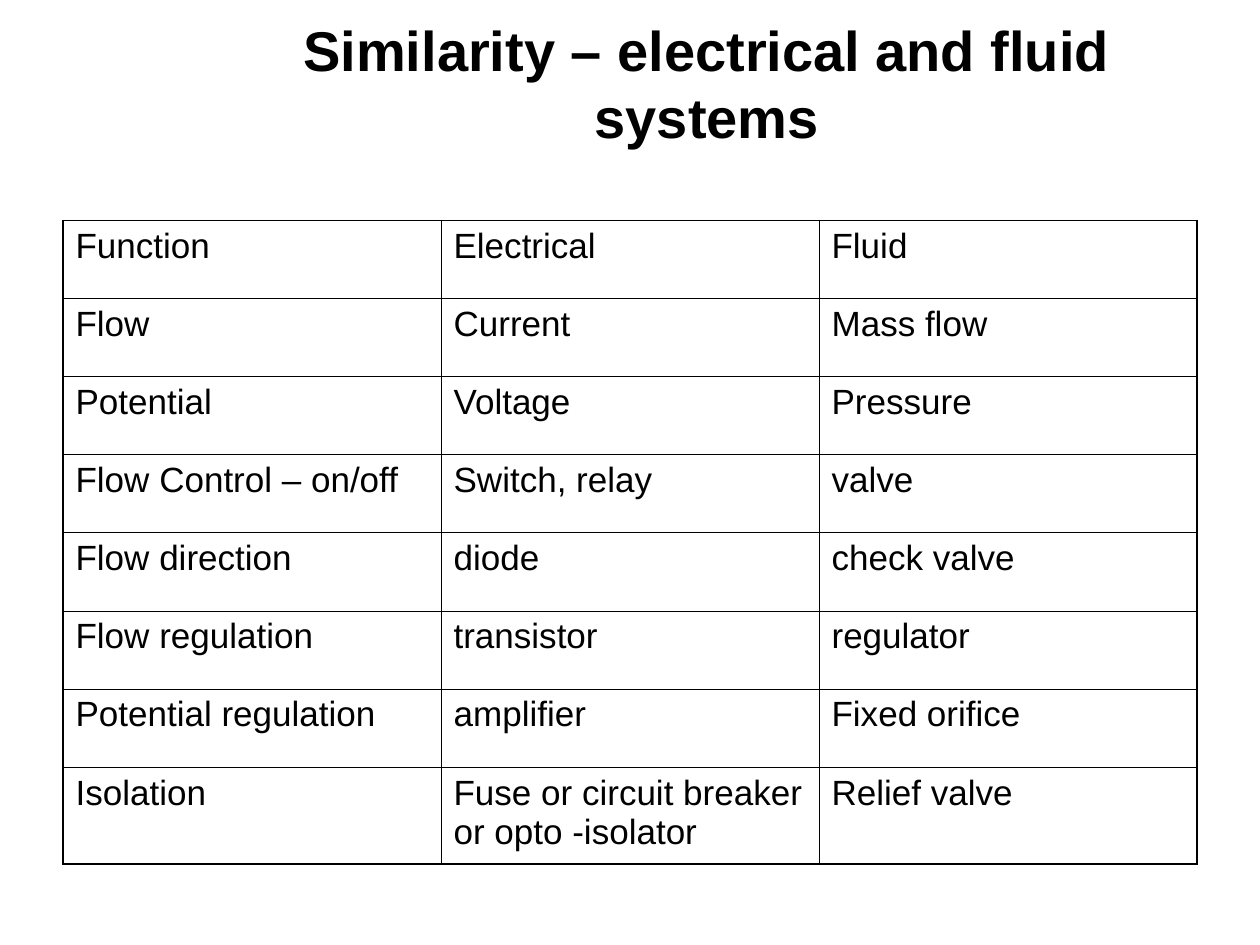
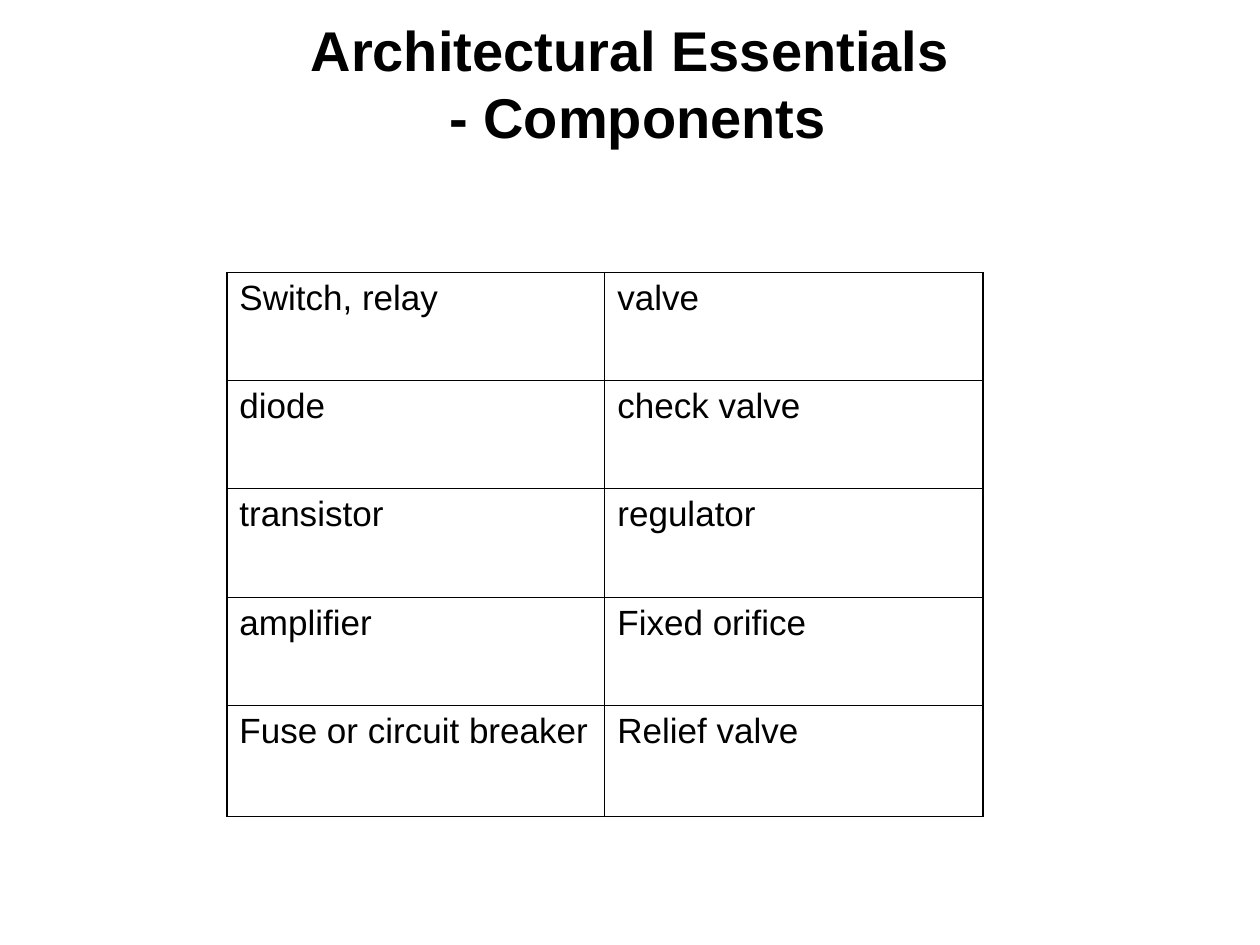
from dataclasses import dataclass

from lxml import etree
from pptx import Presentation
from pptx.dml.color import RGBColor
from pptx.enum.text import MSO_ANCHOR, MSO_AUTO_SIZE, PP_ALIGN
from pptx.oxml.ns import qn
from pptx.util import Inches, Pt

CENTER = PP_ALIGN.CENTER
MIDDLE = MSO_ANCHOR.MIDDLE
NO_AUTOFIT = MSO_AUTO_SIZE.NONE
TITLE_ONLY_LAYOUT = 5


@dataclass(frozen=True)
class Theme:
    font: str = "Arial"
    ink: str = "000000"
    title_size: float = 32
    cell_size: float = 20
    outer_line: float = 1.08
    inner_line: float = 0.45


THEME = Theme()

COLUMN_WIDTH = 3
TITLE_TOP, TITLE_HEIGHT = 0.3, 1.25

HEADINGS = ("Function", "Electrical", "Fluid")
QUANTITIES = (
    ("Flow", "Current", "Mass flow"),
    ("Potential", "Voltage", "Pressure"),
)
COMPONENTS = (
    ("Switch, relay", "valve"),
    ("diode", "check valve"),
    ("transistor", "regulator"),
    ("amplifier", "Fixed orifice"),
    ("Fuse or circuit breaker", "Relief valve"),
)
COMPONENT_FUNCTIONS = (
    "Flow Control – on/off",
    "Flow direction",
    "Flow regulation",
    "Potential regulation",
    "Isolation",
)


def set_font(paragraph, size, bold=False):
    font = paragraph.font
    font.name = THEME.font
    font.size = Pt(size)
    font.bold = bold
    font.color.rgb = RGBColor.from_string(THEME.ink)


def add_titled_slide(presentation, title, left, width):
    slide = presentation.slides.add_slide(presentation.slide_layouts[TITLE_ONLY_LAYOUT])
    shape = slide.shapes.title
    shape.left, shape.top = Inches(left), Inches(TITLE_TOP)
    shape.width, shape.height = Inches(width), Inches(TITLE_HEIGHT)
    frame = shape.text_frame
    frame.auto_size = NO_AUTOFIT
    frame.word_wrap = True
    frame.vertical_anchor = MIDDLE
    paragraph = frame.paragraphs[0]
    paragraph.text = title
    paragraph.alignment = CENTER
    set_font(paragraph, THEME.title_size, bold=True)
    return slide


def add_border(cell, side, width):
    properties = cell._tc.get_or_add_tcPr()
    line = etree.SubElement(properties, qn(f"a:ln{side}"), w=str(Pt(width)))
    fill = etree.SubElement(line, qn("a:solidFill"))
    etree.SubElement(fill, qn("a:srgbClr"), val=THEME.ink)


def format_cell(cell, text, outer_sides):
    cell.text = text
    set_font(cell.text_frame.paragraphs[0], THEME.cell_size)
    for side in "LRTB":
        add_border(cell, side, THEME.outer_line if side in outer_sides else THEME.inner_line)
    cell.fill.background()


def add_grid(slide, rows, left, top, row_height, last_row_height, heavy_top=True):
    row_count, column_count = len(rows), len(rows[0])
    heights = [row_height] * (row_count - 1) + [last_row_height]
    table = slide.shapes.add_table(
        row_count, column_count, Inches(left), Inches(top),
        Inches(COLUMN_WIDTH * column_count), Inches(sum(heights)),
    ).table
    table.first_row = table.horz_banding = False
    for column in table.columns:
        column.width = Inches(COLUMN_WIDTH)
    for row_index, (texts, height) in enumerate(zip(rows, heights)):
        table.rows[row_index].height = Inches(height)
        for column_index, text in enumerate(texts):
            # Sides of this cell that lie on the heavier outer frame
            on_frame = {
                "L": column_index == 0,
                "R": column_index == column_count - 1,
                "T": row_index == 0 and heavy_top,
                "B": row_index == row_count - 1,
            }
            outer_sides = [side for side, is_outer in on_frame.items() if is_outer]
            format_cell(table.cell(row_index, column_index), text, outer_sides)


def main():
    presentation = Presentation()
    presentation.slide_width, presentation.slide_height = Inches(10), Inches(7.5)

    # Electrical and fluid counterparts
    slide = add_titled_slide(
        presentation, "Similarity – electrical and fluid systems\v", left=1.72, width=7.78)
    counterparts = [
        (function, *pair) for function, pair in zip(COMPONENT_FUNCTIONS, COMPONENTS)]
    function, electrical, fluid = counterparts[-1]
    counterparts[-1] = (function, f"{electrical} or opto -isolator", fluid)
    add_grid(slide, [HEADINGS, *QUANTITIES, *counterparts],
             left=0.5, top=1.75, row_height=0.62, last_row_height=0.77)

    # Components alone
    slide = add_titled_slide(
        presentation, "Architectural Essentials\v - Components\v", left=0.5, width=9)
    add_grid(slide, COMPONENTS,
             left=1.8, top=2.16, row_height=0.86, last_row_height=0.88, heavy_top=False)

    presentation.save("out.pptx")


if __name__ == "__main__":
    main()
